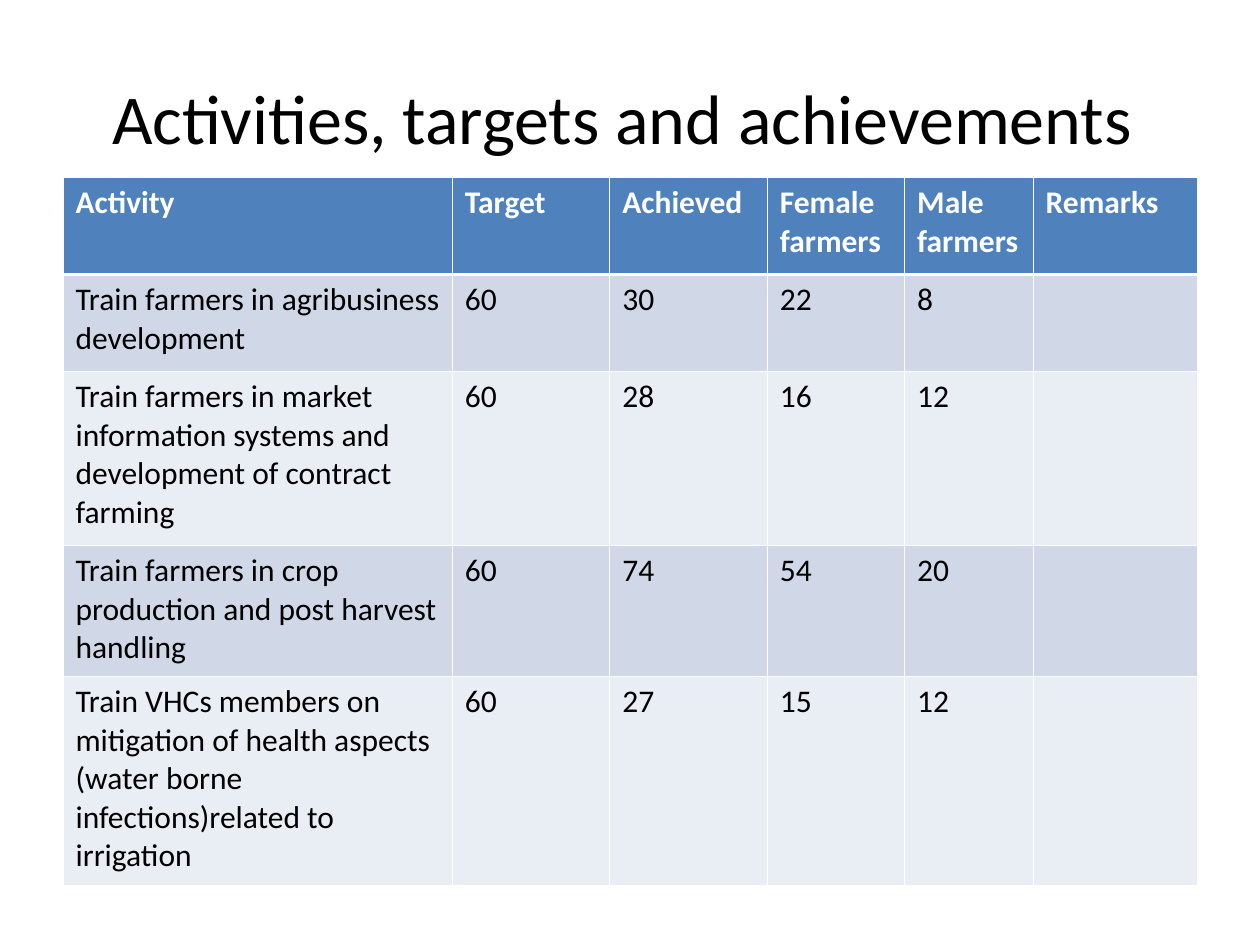
import pptx
import pptx.util
import pptx.dml.color
import pptx.enum.text
import pptx.oxml.ns
import lxml.etree

Inches, Pt = pptx.util.Inches, pptx.util.Pt
RGBColor = pptx.dml.color.RGBColor
PP_ALIGN, MSO_ANCHOR = pptx.enum.text.PP_ALIGN, pptx.enum.text.MSO_ANCHOR

COLORS = {"text": "000000", "header": "4F81BD", "header_text": "FFFFFF",
          "odd": "D0D8E8", "even": "E9EDF4", "border": "FFFFFF"}
TITLE = "Activities, targets and achievements "
ROWS = [
    ("Activity", "Target", "Achieved", "Female farmers", "Male farmers", "Remarks"),
    ("Train farmers in agribusiness development", "60", "30", "22", "8", ""),
    ("Train farmers in market information systems and development of contract farming",
     "60", "28", "16", "12", ""),
    ("Train farmers in crop production and post harvest handling",
     "60", "74", "54", "20", ""),
    ("Train VHCs members on mitigation of health aspects "
     "(water borne infections)related to irrigation", "60", "27", "15", "12", ""),
]
COL_WIDTHS = [3.09, 1.25, 1.25, 1.09, 1.02, 1.3]
ROW_HEIGHTS = [0.77, 0.77, 1.38, 1.04, 1.66]
THIN, THICK = 0.45, 1.47


def write(tf, text, size=18, color="text", bold=False, align=PP_ALIGN.LEFT):
    tf.word_wrap = True
    p = tf.paragraphs[0]
    p.alignment = align
    p.font.size = Pt(size)
    if text:
        r = p.add_run()
        r.text = text
        r.font.name = "Calibri"
        r.font.size = Pt(size)
        r.font.bold = bold
        r.font.color.rgb = RGBColor.from_string(COLORS[color])


def set_borders(cell, widths):
    qn = pptx.oxml.ns.qn
    tc_pr = cell._tc.get_or_add_tcPr()
    for side, width in widths.items():
        ln = lxml.etree.SubElement(tc_pr, qn("a:ln" + side), w=str(int(Pt(width))))
        fill = lxml.etree.SubElement(ln, qn("a:solidFill"))
        lxml.etree.SubElement(fill, qn("a:srgbClr"), val=COLORS["border"])


def add_activity_table(s):
    table = s.shapes.add_table(
        len(ROWS), len(COL_WIDTHS), Inches(0.5), Inches(1.41),
        Inches(sum(COL_WIDTHS)), Inches(sum(ROW_HEIGHTS))).table
    for column, width in zip(table.columns, COL_WIDTHS):
        column.width = Inches(width)
    for i, (values, height) in enumerate(zip(ROWS, ROW_HEIGHTS)):
        table.rows[i].height = Inches(height)
        header = i == 0
        band = "header" if header else "odd" if i % 2 else "even"
        borders = {"L": THIN, "R": THIN,
                   "T": THICK if i == 1 else THIN,
                   "B": THICK if header else THIN}
        for j, value in enumerate(values):
            cell = table.cell(i, j)
            set_borders(cell, borders)
            cell.fill.solid()
            cell.fill.fore_color.rgb = RGBColor.from_string(COLORS[band])
            write(cell.text_frame, value, bold=header,
                  color="header_text" if header else "text")


def main():
    prs = pptx.Presentation()
    prs.slide_width, prs.slide_height = Inches(10), Inches(7.5)
    s = prs.slides.add_slide(prs.slide_layouts[6])
    title = s.shapes.add_textbox(Inches(0.5), Inches(0.3), Inches(9), Inches(1.25))
    title.text_frame.vertical_anchor = MSO_ANCHOR.MIDDLE
    write(title.text_frame, TITLE, size=40, align=PP_ALIGN.CENTER)
    add_activity_table(s)
    prs.save("out.pptx")


if __name__ == "__main__":
    main()
